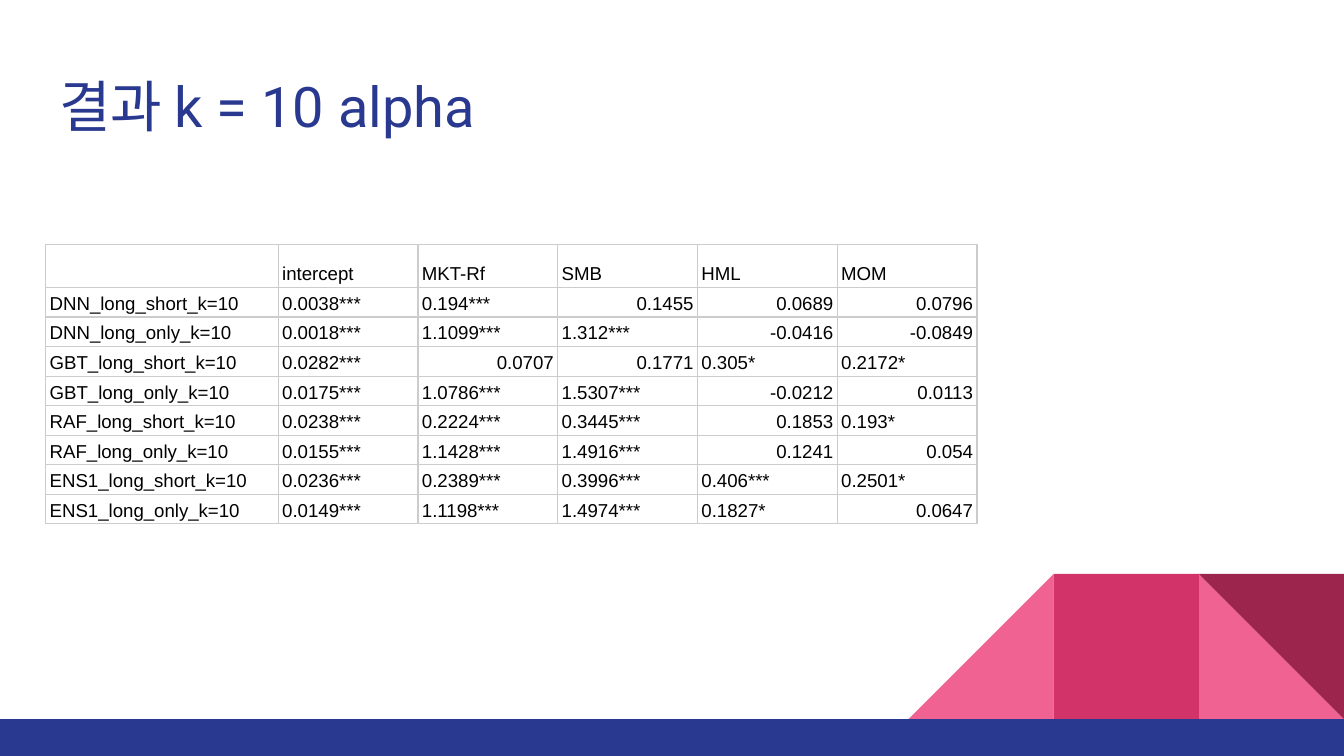
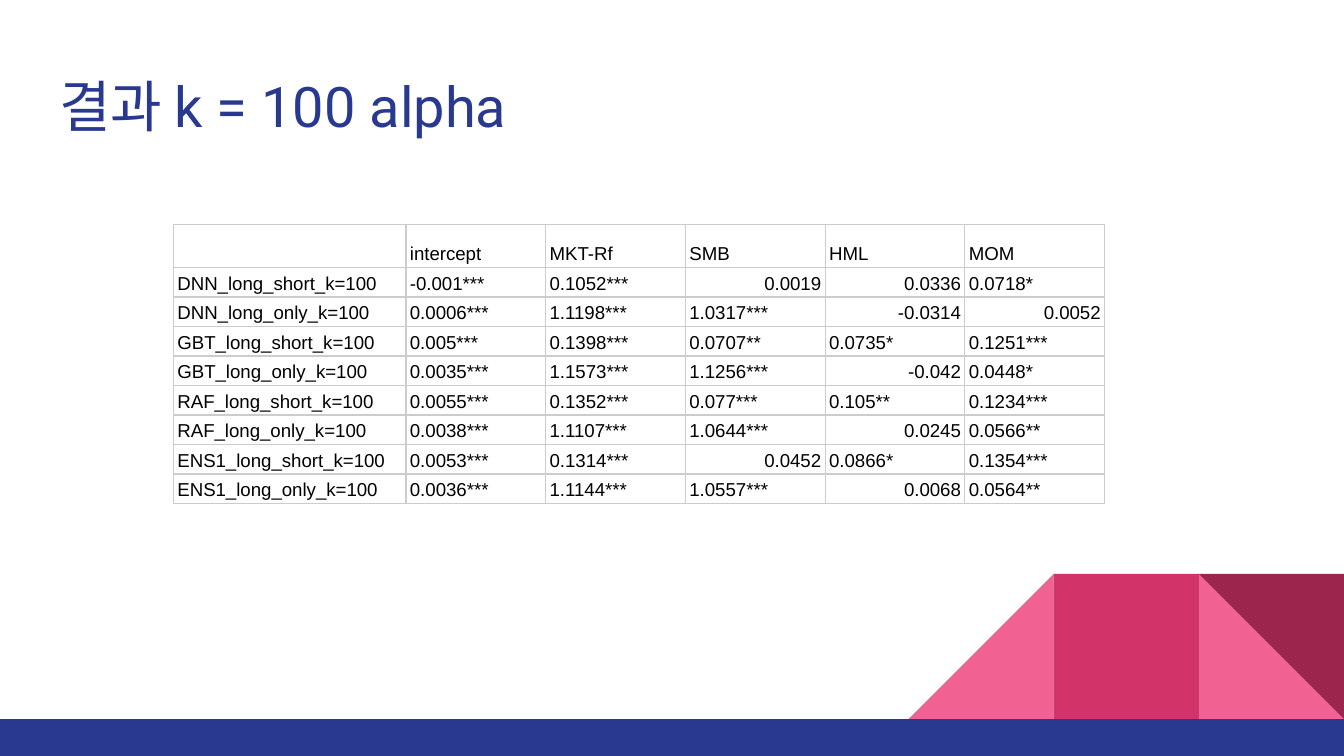
import dataclasses
import itertools
import typing

import lxml.etree
import pptx
import pptx.dml.color
import pptx.enum.shapes
import pptx.enum.text
import pptx.oxml.ns
import pptx.util

Inches = pptx.util.Inches
Pt = pptx.util.Pt
RGB = pptx.dml.color.RGBColor
PRESET = pptx.enum.shapes.MSO_SHAPE
ANCHOR = pptx.enum.text.MSO_ANCHOR
ALIGN = pptx.enum.text.PP_ALIGN
qn = pptx.oxml.ns.qn


@dataclasses.dataclass(frozen=True)
class Theme:
    navy: str = "2A3990"
    pink: str = "F06292"
    rose: str = "D23369"
    wine: str = "9C254D"
    grid: str = "CCCCCC"
    ink: str = "000000"
    title_font: str = "Roboto"
    table_font: str = "Arial"
    title_size: int = 30
    table_size: int = 10
    empty_cell_size: int = 18
    grid_width: float = 0.75
    line_spacing: float = 1.15


THEME = Theme()
SLIDE_WIDTH = Inches(10)
SLIDE_HEIGHT = SLIDE_WIDTH * 9 // 16
TILE = Inches(1.08)
TILE_TOP = Inches(4.27)
BAND_TOP = TILE_TOP + TILE
LABEL_WIDTH, FACTOR_WIDTH, ROW_HEIGHT = Inches(1.73), Inches(1.04), Inches(0.22)

FACTORS = ("intercept", "MKT-Rf", "SMB", "HML", "MOM")
MODELS = ("DNN", "GBT", "RAF", "ENS1")
STRATEGIES = ("long_short", "long_only")

TITLE_FRAME = {
    "margin_left": Inches(0.1), "margin_right": Inches(0.1),
    "margin_top": Inches(0.1), "margin_bottom": Inches(0.1),
    "vertical_anchor": ANCHOR.MIDDLE, "word_wrap": True,
    "auto_size": pptx.enum.text.MSO_AUTO_SIZE.NONE,
}
TITLE_PLACE = {
    "left": Inches(0.34), "top": Inches(0.45),
    "width": Inches(9.32), "height": Inches(0.66),
}
CELL_FRAME = {
    "margin_left": Inches(0.03), "margin_right": Inches(0.03),
    "margin_top": Inches(0.02), "margin_bottom": Inches(0.02),
    "vertical_anchor": ANCHOR.BOTTOM,
}
TITLE_TYPE = {"name": THEME.title_font, "size": Pt(THEME.title_size), "bold": False}
TABLE_TYPE = {"name": THEME.table_font, "size": Pt(THEME.table_size), "bold": False}


@dataclasses.dataclass(frozen=True)
class Tile:
    """One piece of the corner ornament; column counts tiles from the right edge."""
    preset: PRESET
    column: int
    color: str
    rotation: int = 0


@dataclasses.dataclass(frozen=True)
class AlphaSlide:
    k: int
    table_left: float
    table_top: float
    estimates: tuple[str, ...]


TILES = (
    Tile(PRESET.RIGHT_TRIANGLE, 1, THEME.pink),
    Tile(PRESET.RIGHT_TRIANGLE, 3, THEME.pink, 270),
    Tile(PRESET.RECTANGLE, 2, THEME.rose),
    Tile(PRESET.RIGHT_TRIANGLE, 1, THEME.wine, 180),
)

ALPHA_SLIDES = (
    AlphaSlide(10, 0.34, 1.82, (
        "0.0038*** 0.194*** 0.1455 0.0689 0.0796",
        "0.0018*** 1.1099*** 1.312*** -0.0416 -0.0849",
        "0.0282*** 0.0707 0.1771 0.305* 0.2172*",
        "0.0175*** 1.0786*** 1.5307*** -0.0212 0.0113",
        "0.0238*** 0.2224*** 0.3445*** 0.1853 0.193*",
        "0.0155*** 1.1428*** 1.4916*** 0.1241 0.054",
        "0.0236*** 0.2389*** 0.3996*** 0.406*** 0.2501*",
        "0.0149*** 1.1198*** 1.4974*** 0.1827* 0.0647",
    )),
    AlphaSlide(100, 1.29, 1.67, (
        "-0.001*** 0.1052*** 0.0019 0.0336 0.0718*",
        "0.0006*** 1.1198*** 1.0317*** -0.0314 0.0052",
        "0.005*** 0.1398*** 0.0707** 0.0735* 0.1251***",
        "0.0035*** 1.1573*** 1.1256*** -0.042 0.0448*",
        "0.0055*** 0.1352*** 0.077*** 0.105** 0.1234***",
        "0.0038*** 1.1107*** 1.0644*** 0.0245 0.0566**",
        "0.0053*** 0.1314*** 0.0452 0.0866* 0.1354***",
        "0.0036*** 1.1144*** 1.0557*** 0.0068 0.0564**",
    )),
)


def apply(target: typing.Any, values: dict[str, typing.Any]) -> None:
    for name, value in values.items():
        setattr(target, name, value)


def add_run(paragraph: typing.Any, text: str, values: dict[str, typing.Any],
            color: str) -> None:
    run = paragraph.add_run()
    run.text = text
    apply(run.font, values)
    run.font.color.rgb = RGB.from_string(color)


def add_block(shapes: typing.Any, preset: PRESET, left: int, top: int,
              width: int, height: int, color: str) -> typing.Any:
    block = shapes.add_shape(preset, left, top, width, height)
    block.shadow.inherit = False
    block.fill.solid()
    block.fill.fore_color.rgb = RGB.from_string(color)
    block.line.fill.background()
    return block


def add_ornament(slide: typing.Any) -> None:
    ornament = slide.shapes.add_group_shape().shapes
    for tile in TILES:
        piece = add_block(ornament, tile.preset, SLIDE_WIDTH - tile.column * TILE,
                          TILE_TOP, TILE, TILE, tile.color)
        piece.rotation = tile.rotation
    add_block(ornament, PRESET.RECTANGLE, 0, BAND_TOP, SLIDE_WIDTH,
              SLIDE_HEIGHT - BAND_TOP, THEME.navy)


def set_title(slide: typing.Any, text: str) -> None:
    title = slide.shapes.title
    apply(title, TITLE_PLACE)
    apply(title.text_frame, TITLE_FRAME)
    heading = title.text_frame.paragraphs[0]
    heading.alignment = ALIGN.LEFT
    add_run(heading, text, TITLE_TYPE, THEME.navy)


def add_borders(cell: typing.Any) -> None:
    properties = cell._tc.get_or_add_tcPr()
    for side in ("a:lnL", "a:lnR", "a:lnT", "a:lnB"):
        edge = lxml.etree.SubElement(properties, qn(side), w=str(Pt(THEME.grid_width)))
        paint = lxml.etree.SubElement(edge, qn("a:solidFill"))
        lxml.etree.SubElement(paint, qn("a:srgbClr"), val=THEME.grid)


def size_empty_cell(paragraph: typing.Any) -> None:
    """Give a cell without text the font that sets the height of its row."""
    ending = lxml.etree.SubElement(paragraph._p, qn("a:endParaRPr"),
                                   sz=str(THEME.empty_cell_size * 100))
    lxml.etree.SubElement(ending, qn("a:latin"), typeface=THEME.table_font)


def fill_cell(cell: typing.Any, text: str, alignment: ALIGN) -> None:
    apply(cell, CELL_FRAME)
    add_borders(cell)
    cell.fill.background()
    paragraph = cell.text_frame.paragraphs[0]
    if text:
        apply(paragraph, {"alignment": alignment, "line_spacing": THEME.line_spacing})
        add_run(paragraph, text, TABLE_TYPE, THEME.ink)
    else:
        size_empty_cell(paragraph)


def add_estimates(slide: typing.Any, content: AlphaSlide) -> None:
    """Add the factor table; estimates without a significance star align right."""
    labels = [f"{model}_{strategy}_k={content.k}"
              for model, strategy in itertools.product(MODELS, STRATEGIES)]
    rows = [("", *FACTORS)]
    rows += [(label, *line.split()) for label, line in zip(labels, content.estimates)]
    widths = [LABEL_WIDTH] + [FACTOR_WIDTH] * len(FACTORS)
    table = slide.shapes.add_table(
        len(rows), len(widths), Inches(content.table_left), Inches(content.table_top),
        sum(widths), ROW_HEIGHT * len(rows)).table
    apply(table, {"first_row": False, "horz_banding": False})
    for column, width in zip(table.columns, widths):
        column.width = width
    for r, row in enumerate(rows):
        table.rows[r].height = ROW_HEIGHT
        for c, text in enumerate(row):
            plain_number = r > 0 and c > 0 and not text.endswith("*")
            fill_cell(table.cell(r, c), text, ALIGN.RIGHT if plain_number else ALIGN.LEFT)


def main() -> None:
    deck = pptx.Presentation()
    apply(deck, {"slide_width": SLIDE_WIDTH, "slide_height": SLIDE_HEIGHT})
    title_only = deck.slide_layouts[5]
    for content in ALPHA_SLIDES:
        slide = deck.slides.add_slide(title_only)
        add_ornament(slide)
        set_title(slide, f"결과 k = {content.k} alpha")
        add_estimates(slide, content)
    deck.save("out.pptx")


if __name__ == "__main__":
    main()
